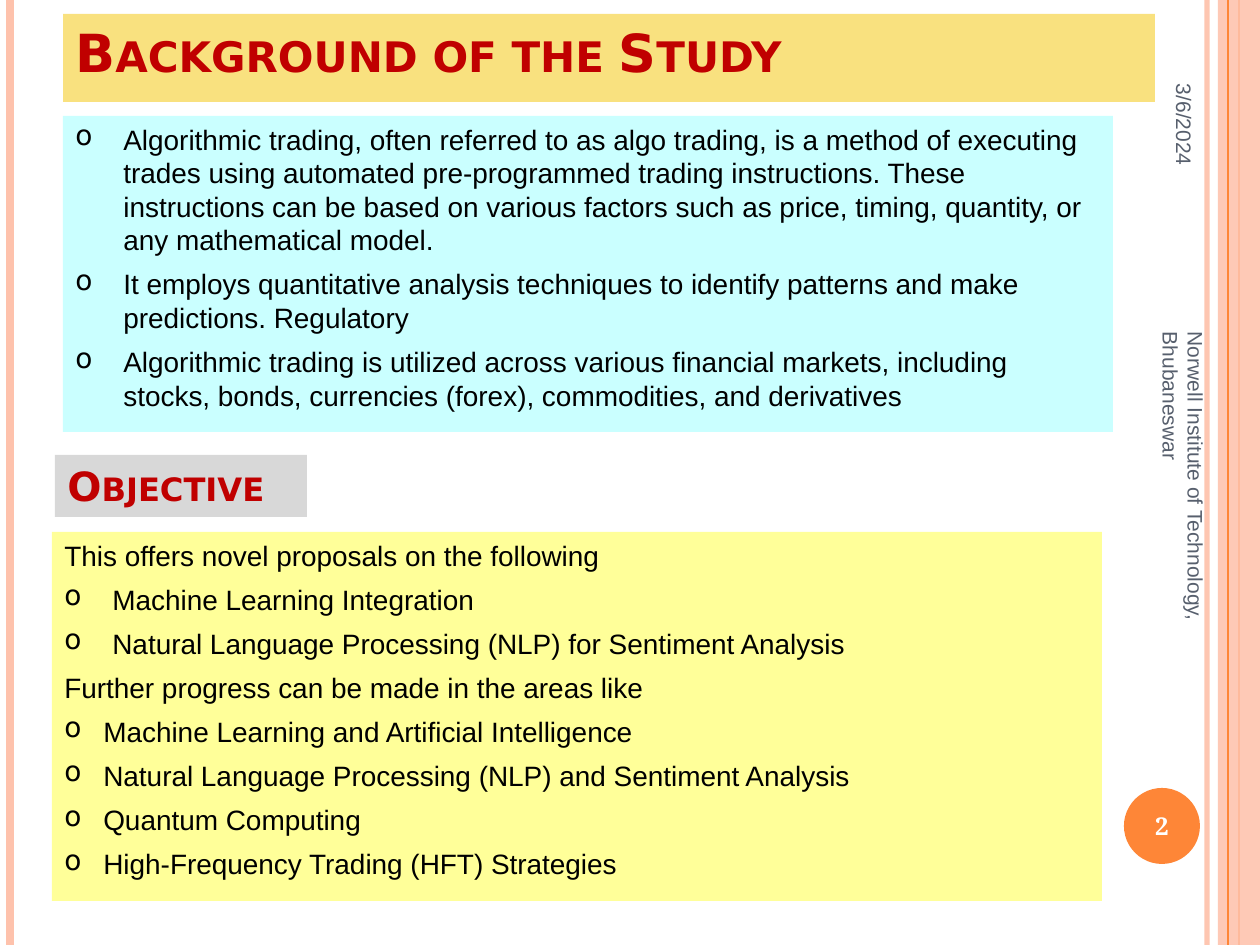
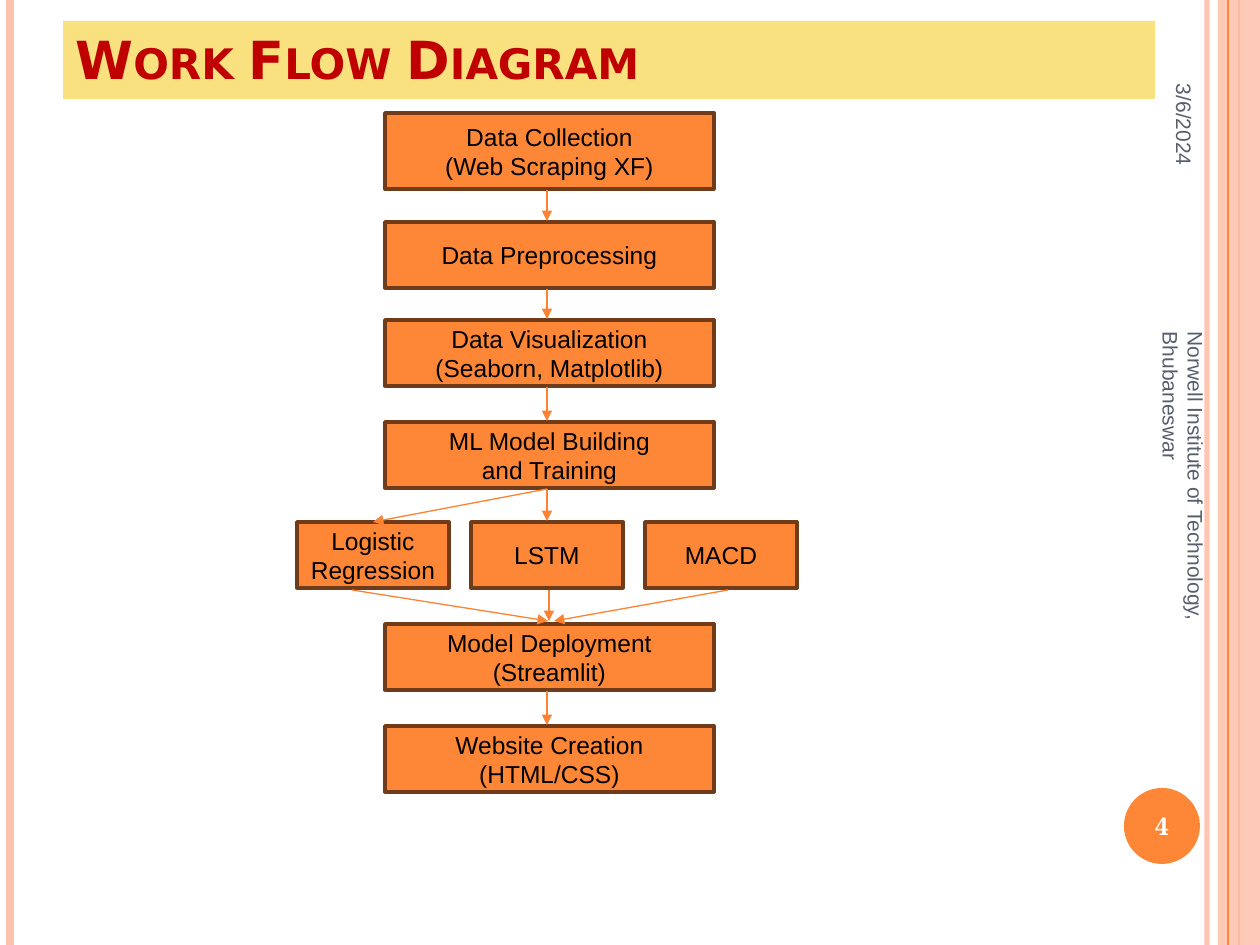
from dataclasses import dataclass
from pptx import Presentation
from pptx.dml.color import RGBColor as Rgb
from pptx.enum.shapes import MSO_CONNECTOR as Link, MSO_SHAPE as Form
from pptx.enum.text import MSO_ANCHOR as Anchor, PP_ALIGN as Align
from pptx.oxml.ns import qn
from pptx.util import Emu, Pt
from lxml.etree import SubElement as Sub

SCALE = 914400 // 126
WIDE, HIGH = 1260, 945


@dataclass(frozen=True)
class Theme:
    sans: str = "Arial"
    head: str = "DejaVu Sans"
    serif: str = "Noto Serif"
    peach: str = "FEC2AC"
    orange: str = "FE8637"
    arrow: str = "FD8231"
    brown: str = "6F3B18"
    gold: str = "F9E17F"
    gray: str = "D8D8D8"
    cyan: str = "66FFFF"
    yellow: str = "FFFF99"
    red: str = "C00000"
    slate: str = "575F6D"
    black: str = "000000"
    white: str = "FFFFFF"
    title: int = 30
    sub: int = 23
    body: int = 16
    step: int = 14
    note: int = 12


T = Theme()


def px(*nums):
    return [Emu(round(n * SCALE)) for n in nums]


def fade(item, part):
    for hue in item.element.spPr.iter(qn("a:srgbClr")):
        Sub(hue, qn("a:alpha"), val=str(part * 1000))


def add_run(para, text, size, color, font=T.sans, bold=False):
    run = para.add_run()
    run.text = text
    face = run.font
    face.size, face.name, face.bold = Pt(size), font, bold
    face.color.rgb = Rgb.from_string(color)
    return run


def add_box(slide, area, fill, form=Form.RECTANGLE, edge=None, alpha=100):
    box = slide.shapes.add_shape(form, *px(*area))
    box.shadow.inherit = False
    box.fill.solid()
    box.fill.fore_color.rgb = Rgb.from_string(fill)
    if alpha < 100:
        fade(box, alpha)
    if edge:
        box.line.color.rgb = Rgb.from_string(edge)
        box.line.width = Pt(2)
    else:
        box.line.fill.background()
    box.text_frame.word_wrap = True
    box.text_frame.vertical_anchor = Anchor.TOP
    return box


def add_line(slide, start, end, color, width, alpha=100, arrow=False):
    line = slide.shapes.add_connector(Link.STRAIGHT, *px(*start, *end))
    line.line.color.rgb = Rgb.from_string(color)
    line.line.width = Pt(width)
    if alpha < 100:
        fade(line, alpha)
    if arrow:
        Sub(line.line._get_or_add_ln(), qn("a:tailEnd"), type="triangle")
    Sub(line.element.spPr, qn("a:effectLst"))


def add_label(slide, area, text, align, style, turn=0):
    box = slide.shapes.add_textbox(*px(*area))
    box.rotation = turn
    frame = box.text_frame
    frame.word_wrap = True
    frame.vertical_anchor = Anchor.MIDDLE
    para = frame.paragraphs[0]
    para.alignment = align
    add_run(para, text, *style)


def add_head(slide, area, text, fill, size):
    para = add_box(slide, area, fill).text_frame.paragraphs[0]
    para.alignment = Align.LEFT
    run = add_run(para, text, size, T.red, T.head, True)
    run.font._element.set("cap", "small")


def add_list(slide, area, fill, items, alpha=100):
    frame = add_box(slide, area, fill, alpha=alpha).text_frame
    for i, (dent, level, text) in enumerate(items):
        para = frame.add_paragraph() if i else frame.paragraphs[0]
        para.alignment = Align.LEFT
        para.level = level
        para.space_before = Pt(6)
        if dent:
            props = para._p.get_or_add_pPr()
            gap = px(dent)[0]
            props.set("marL", str(gap))
            props.set("indent", str(-gap))
            hue = Sub(props, qn("a:buClr"))
            Sub(hue, qn("a:srgbClr"), val=T.black)
            Sub(props, qn("a:buChar"), char="o")
        add_run(para, text, T.body, T.black)


def add_step(slide, area, text):
    frame = add_box(slide, area, T.orange, edge=T.brown).text_frame
    frame.vertical_anchor = Anchor.MIDDLE
    for i, line in enumerate(text.split("\n")):
        para = frame.add_paragraph() if i else frame.paragraphs[0]
        para.alignment = Align.CENTER
        add_run(para, line, T.step, T.black)


def add_arrow(slide, start, end):
    add_line(slide, start, end, T.arrow, 0.75, arrow=True)


def add_base(deck, number):
    slide = deck.slides.add_slide(deck.slide_layouts[6])
    for x, color, width, alpha in (
        (1207, T.peach, 3, 93),
        (10, T.peach, 4.5, 100),
        (1239, T.orange, 1.5, 100),
    ):
        add_line(slide, (x, 0), (x, HIGH), color, width, alpha)
    add_box(slide, (1218, 0, 42, HIGH), T.peach, alpha=87)
    add_line(slide, (1228, 0), (1228, HIGH), T.orange, 0.75)
    add_box(slide, (1124, 788, 76, 76), T.orange, Form.OVAL)
    small = (T.note, T.slate)
    add_label(slide, (1114, 81, 141, 53), "3/6/2024", Align.RIGHT, small, 90)
    add_label(slide, (963, 515, 441, 50),
              "Norwell Institute of Technology, Bhubaneswar",
              Align.LEFT, small, 90)
    add_label(slide, (1120, 790, 84, 72), number, Align.CENTER,
              (T.step, T.white, T.serif, True))
    return slide


def add_study(deck):
    slide = add_base(deck, "2")
    add_head(slide, (63, 14, 1092, 88), "Background of the Study",
             T.gold, T.title)
    add_head(slide, (55, 455, 252, 62), "Objective", T.gray, T.sub)
    wide, slim = (48, 0), (39, 3)
    add_list(slide, (52, 532, 1050, 369), T.yellow, (
        (0, 0, "This offers novel proposals on the following"),
        (*wide, "Machine Learning Integration"),
        (*wide, "Natural Language Processing (NLP) for Sentiment Analysis"),
        (0, 0, "Further progress can be made in the areas like"),
        (*slim, "Machine Learning and Artificial Intelligence"),
        (*slim, "Natural Language Processing (NLP) and Sentiment Analysis"),
        (*slim, "Quantum Computing"),
        (*slim, "High-Frequency Trading (HFT) Strategies"),
    ))
    add_list(slide, (63, 116, 1050, 316), T.cyan, (
        (*wide, "Algorithmic trading, often referred to as algo trading, is a "
         "method of executing trades using automated pre-programmed trading "
         "instructions. These instructions can be based on various factors "
         "such as price, timing, quantity, or any mathematical model."),
        (*wide, "It employs quantitative analysis techniques to identify "
         "patterns and make predictions. Regulatory"),
        (*wide, "Algorithmic trading is utilized across various financial "
         "markets, including stocks, bonds, currencies (forex), commodities, "
         "and derivatives"),
    ), alpha=34)


def add_flow(deck):
    slide = add_base(deck, "4")
    add_head(slide, (63, 21, 1092, 78), "Work Flow Diagram", T.gold, T.title)
    left, width, tall, mid = 385, 329, 66, 547
    row, deploy = 522, 624
    steps = (
        (113, 76, "Data Collection\n(Web Scraping XF)"),
        (222, tall, "Data Preprocessing"),
        (320, tall, "Data Visualization\n(Seaborn, Matplotlib)"),
        (422, tall, "ML Model Building\nand Training"),
        (deploy, tall, "Model Deployment\n(Streamlit)"),
        (726, tall, "Website Creation\n(HTML/CSS)"),
    )
    for top, high, text in steps:
        add_step(slide, (left, top, width, high), text)
    for i, text in enumerate(("Logistic\nRegression", "LSTM", "MACD")):
        add_step(slide, (297 + 174 * i, row, 152, tall), text)
    ends = [top for top, _, _ in steps[1:4]] + [row, steps[5][0]]
    starts = [top + high for top, high, _ in steps[:5]]
    for start, end in zip(starts, ends):
        add_arrow(slide, (mid, start + 1), (mid, end - 1))
    add_arrow(slide, (mid, starts[3] + 1), (373, row))
    for x, tip in ((352, 548), (549, 549), (728, 554)):
        add_arrow(slide, (x, row + tall + 2), (tip, deploy - 3))


def main():
    deck = Presentation()
    deck.slide_width, deck.slide_height = px(WIDE, HIGH)
    add_study(deck)
    add_flow(deck)
    deck.save("out.pptx")


main()
